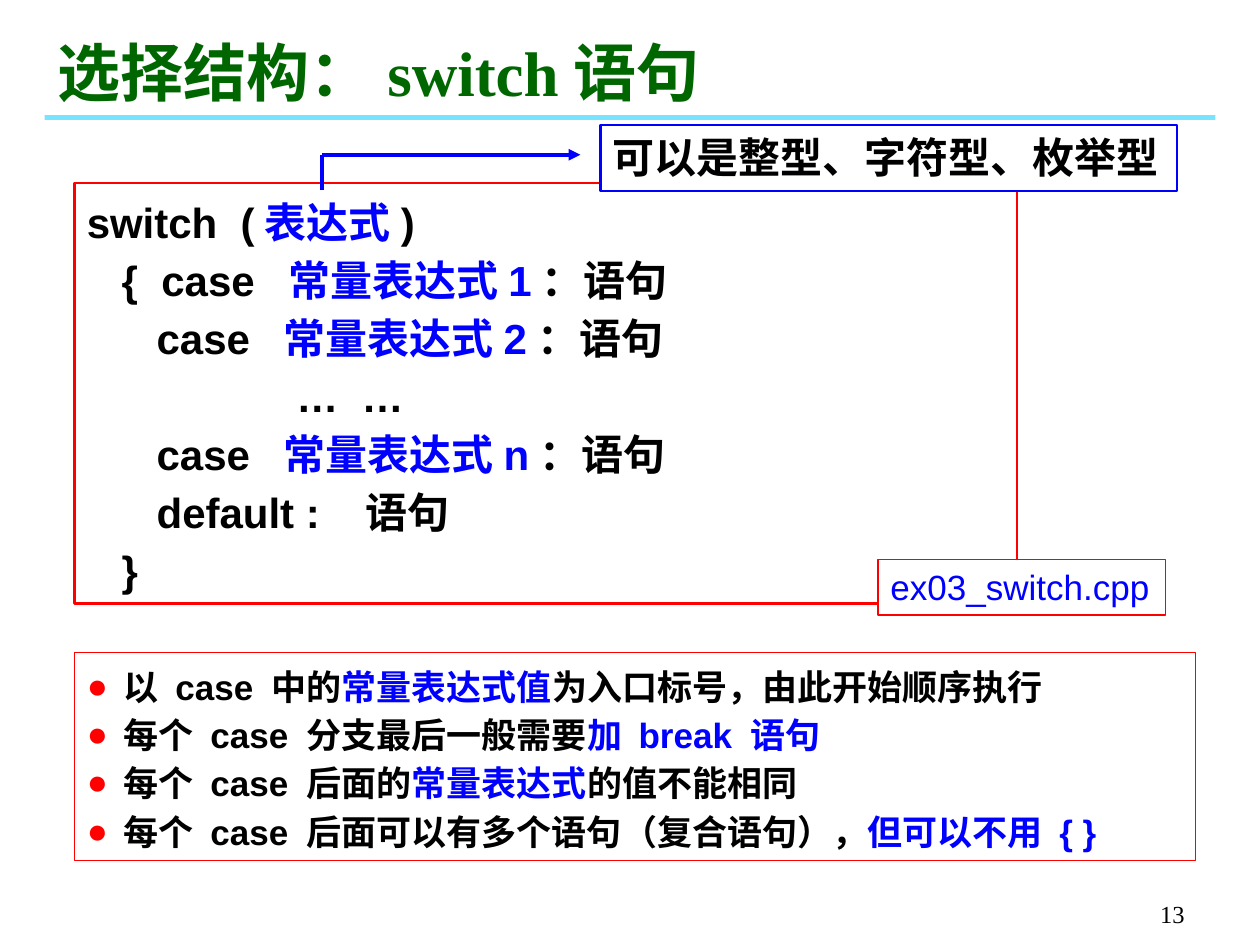
from dataclasses import dataclass

from lxml.etree import SubElement
from pptx import Presentation
from pptx.dml.color import RGBColor
from pptx.enum.shapes import MSO_CONNECTOR, MSO_SHAPE
from pptx.enum.text import MSO_ANCHOR, MSO_AUTO_SIZE, PP_ALIGN
from pptx.oxml.ns import qn
from pptx.util import Cm, Pt


@dataclass(frozen=True)
class Theme:
    """Colours, fonts and type sizes of the deck."""

    black: str = "000000"
    white: str = "FFFFFF"
    blue: str = "0000FF"
    red: str = "FF0000"
    green: str = "006600"
    cyan: str = "00CCFF"
    sans: str = "Arial"
    serif: str = "Times New Roman"
    callout: str = "Cabin"
    title_size: int = 36
    code_size: int = 24
    note_size: int = 20
    number_size: int = 14
    spacing: float = 1.15


class SlideBuilder:
    """Draws each kind of element on the current slide."""

    def __init__(self, page, theme):
        """Keep the slide and its style."""
        self.page = page
        self.theme = theme

    def style(self, span, font, size, color, bold=True):
        """Format one run."""
        span.font.name = font
        span.font.size = Pt(size)
        span.font.bold = bold
        span.font.color.rgb = RGBColor.from_string(color)

    def title(self, text, area):
        """Place and fill the title placeholder."""
        box = self.page.shapes.title
        box.left, box.top, box.width, box.height = map(Cm, area)
        frame = box.text_frame
        frame.text = text
        frame.auto_size = MSO_AUTO_SIZE.NONE
        frame.vertical_anchor = MSO_ANCHOR.BOTTOM
        para = frame.paragraphs[0]
        para.alignment = PP_ALIGN.LEFT
        self.style(para.runs[0], self.theme.serif, self.theme.title_size, self.theme.green)

    def rule(self, area):
        """Draw the translucent band under the title."""
        band = self.page.shapes.add_shape(MSO_SHAPE.RECTANGLE, *map(Cm, area))
        band.shadow.inherit = False
        band.fill.solid()
        band.fill.fore_color.rgb = RGBColor.from_string(self.theme.cyan)
        color = band.fill._xPr.find(qn("a:solidFill"))[0]
        SubElement(color, qn("a:alpha"), val="53000")
        band.line.fill.background()

    def number(self, text, area):
        """Write the page number."""
        box = self.page.shapes.add_textbox(*map(Cm, area))
        frame = box.text_frame
        frame.text = text
        frame.word_wrap = True
        frame.vertical_anchor = MSO_ANCHOR.BOTTOM
        para = frame.paragraphs[0]
        para.alignment = PP_ALIGN.RIGHT
        self.style(para.runs[0], self.theme.serif, self.theme.number_size, self.theme.black, False)

    def panel(self, lines, area, size, border, weight, font=None, filled=True,
              bold=True, spacing=None, bullets=False, wrap=True):
        """Draw a framed text box whose text between bars is blue."""
        box = self.page.shapes.add_shape(MSO_SHAPE.RECTANGLE, *map(Cm, area))
        box.shadow.inherit = False
        if filled:
            box.fill.solid()
            box.fill.fore_color.rgb = RGBColor.from_string(self.theme.white)
        else:
            box.fill.background()
        box.line.color.rgb = RGBColor.from_string(border)
        box.line.width = Pt(weight)
        frame = box.text_frame
        frame.word_wrap = wrap
        frame.vertical_anchor = MSO_ANCHOR.TOP
        for index, line in enumerate(lines):
            para = frame.add_paragraph() if index else frame.paragraphs[0]
            para.alignment = PP_ALIGN.LEFT
            para.line_spacing = spacing
            if bullets:
                self.bullet(para)
            for part, text in enumerate(line.split("|")):
                if text:
                    span = para.add_run()
                    span.text = text
                    color = self.theme.blue if part % 2 else self.theme.black
                    self.style(span, font or self.theme.sans, size, color, bold)

    def bullet(self, para):
        """Give a paragraph a red dot and a hanging indent."""
        properties = para._p.get_or_add_pPr()
        indent = Cm(0.75)
        properties.set("marL", str(indent))
        properties.set("indent", str(-indent))
        color = SubElement(properties, qn("a:buClr"))
        SubElement(color, qn("a:srgbClr"), val=self.theme.red)
        SubElement(properties, qn("a:buFont"), typeface=self.theme.sans)
        SubElement(properties, qn("a:buChar"), char="●")

    def line(self, start, end, arrow=False):
        """Draw a straight blue line, with an arrowhead if asked."""
        connector = self.page.shapes.add_connector(
            MSO_CONNECTOR.STRAIGHT, *map(Cm, start + end))
        connector.line.color.rgb = RGBColor.from_string(self.theme.blue)
        connector.line.width = Pt(2.25)
        if arrow:
            SubElement(connector.line._get_or_add_ln(), qn("a:tailEnd"), type="triangle")
        SubElement(connector._element.spPr, qn("a:effectLst"))


CODE = [
    "switch  (|表达式|)",
    "   {  case  |常量表达式1|：语句",
    "      case  |常量表达式2|：语句",
    "                  …  …",
    "      case  |常量表达式n|：语句",
    "      default :   语句",
    "   }",
]
NOTES = [
    "以 case 中的|常量表达式值|为入口标号，由此开始顺序执行",
    "每个 case 分支最后一般需要|加 break 语句",
    "每个 case 后面的|常量表达式|的值不能相同",
    "每个 case 后面可以有多个语句（复合语句），|但可以不用 { }",
]


def main():
    """Build and save the slide."""
    theme = Theme()
    deck = Presentation()
    deck.slide_width, deck.slide_height = Cm(25.4), Cm(19.05)
    page = deck.slides.add_slide(deck.slide_layouts[5])
    builder = SlideBuilder(page, theme)

    builder.rule((0.9, 2.32, 23.6, 0.1))
    builder.number("13", (18.85, 17.58, 5.28, 1.27))
    builder.title("选择结构：switch语句", (0.9, 0.54, 18.2, 1.78))
    builder.panel(CODE, (1.5, 3.69, 19, 8.48), theme.code_size, theme.red, 1.5,
                  filled=False, spacing=theme.spacing)
    builder.panel(NOTES, (1.5, 13.16, 22.6, 4.19), theme.note_size, theme.red, 0.75,
                  spacing=theme.spacing, bullets=True)
    builder.panel(["可以是整型、字符型、枚举型"], (12.1, 2.52, 11.63, 1.33),
                  theme.code_size, theme.blue, 1.5, font=theme.callout, wrap=False)

    corner = (6.5, 3.12)
    builder.line((6.5, 3.84), corner)
    builder.line(corner, (11.7, 3.12), arrow=True)
    builder.panel(["|ex03_switch.cpp"], (17.7, 11.28, 5.8, 1.12),
                  theme.note_size, theme.red, 0.75, bold=False)
    deck.save("out.pptx")


if __name__ == "__main__":
    main()
